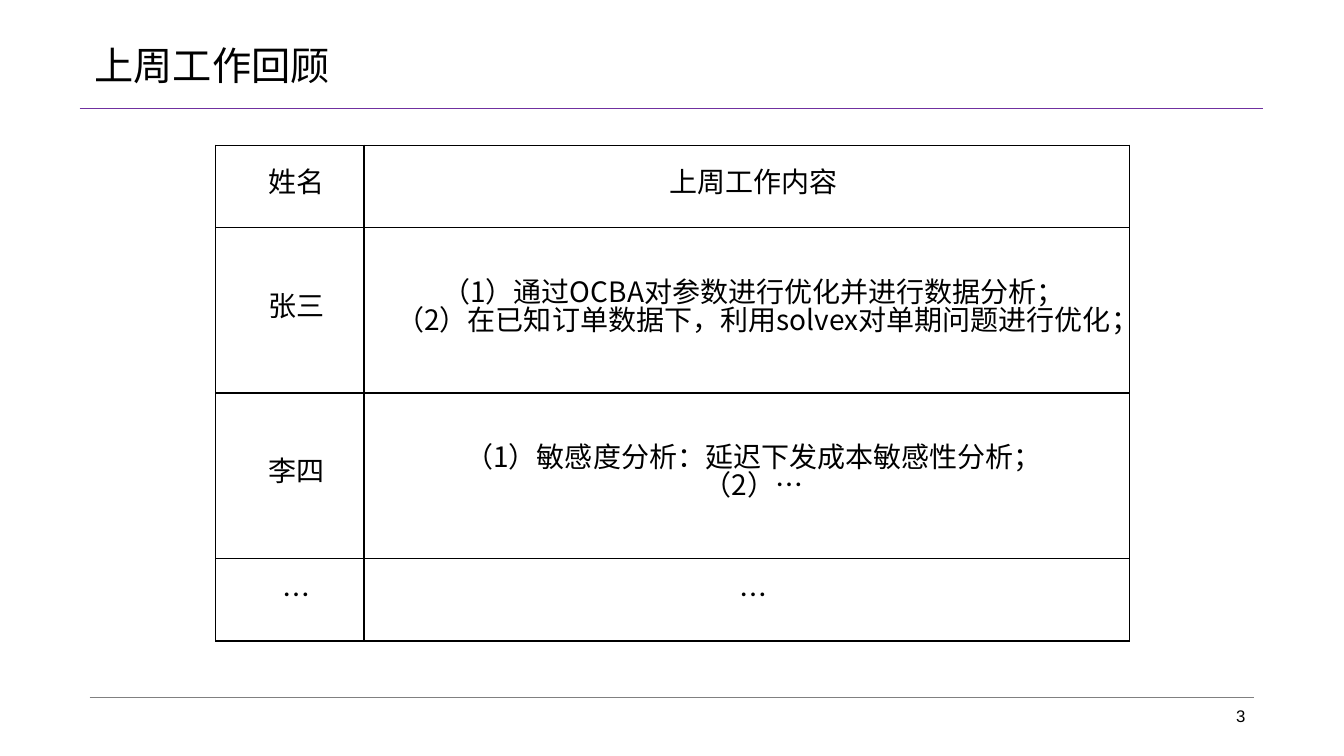
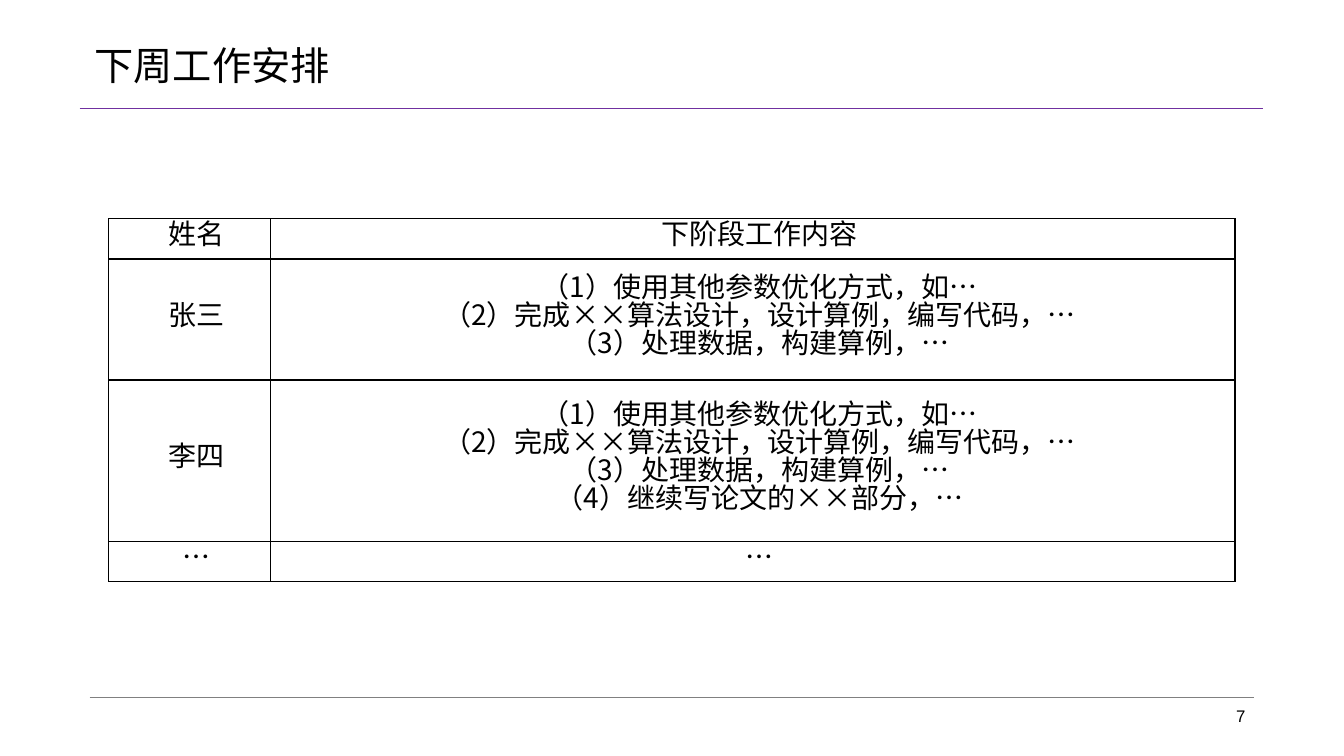
from collections import namedtuple
from dataclasses import dataclass

from lxml import etree
from pptx import Presentation
from pptx import util as u
from pptx.dml import color
from pptx.enum import lang, shapes, text
from pptx.oxml import ns

Box = namedtuple("Box", "left top width height")


@dataclass(frozen=True)
class Theme:
    """Colours, type and line weights shared by the pages."""
    ink: str = "000000"
    accent: str = "7030A0"
    footer: str = "808080"
    latin: str = "Arial"
    chinese: str = "Noto Sans CJK SC"
    title_size: int = 28
    cell_size: int = 20
    number_size: int = 12
    rule_width: float = 0.25
    border_width: int = 1


THEME = Theme()
PAGE = Box(0, 0, 1333, 750)

PAGES = [
    {
        "title": "上周工作回顾",
        "number": "3",
        "box": Box(214, 144, 906, 492),
        "name_width": 147,
        "row_shares": [1, 2, 2, 1],
        "rows": [
            ("姓名", ["上周工作内容"]),
            ("张三", ["（1）通过OCBA对参数进行优化并进行数据分析；",
                    "（2）在已知订单数据下，利用solvex对单期问题进行优化；"]),
            ("李四", ["（1）敏感度分析：延迟下发成本敏感性分析；", "（2）…"]),
            ("…", ["…"]),
        ],
    },
    {
        "title": "下周工作安排",
        "number": "7",
        "box": Box(108, 217, 1117, 360),
        "name_width": 160,
        "row_shares": [1, 3, 4, 1],
        "rows": [
            ("姓名", ["下阶段工作内容"]),
            ("张三", ["（1）使用其他参数优化方式，如…",
                    "（2）完成××算法设计，设计算例，编写代码，…",
                    "（3）处理数据，构建算例，…"]),
            ("李四", ["（1）使用其他参数优化方式，如…",
                    "（2）完成××算法设计，设计算例，编写代码，…",
                    "（3）处理数据，构建算例，…",
                    "（4）继续写论文的××部分，…"]),
            ("…", ["…"]),
        ],
    },
]


def px(length):
    """Turn px into EMU at 100 px to the inch."""
    return u.Emu(round(length * 9144))


def apply(target, formats):
    """Set every attribute named in the formats."""
    for name, value in formats.items():
        setattr(target, name, value)


def write(para, words, font, size):
    """Write one styled span into a paragraph."""
    span = para.add_run()
    span.text = words
    apply(span.font, {"name": font, "size": u.Pt(size),
                      "language_id": lang.MSO_LANGUAGE_ID.SIMPLIFIED_CHINESE})
    span.font.color.rgb = color.RGBColor.from_string(THEME.ink)
    east = etree.SubElement(span.font._element, ns.qn("a:ea"))
    east.set("typeface", THEME.chinese)


def add_label(page, box, words, size, frame_formats, align):
    """Place one line of text in a box."""
    frame = page.shapes.add_textbox(*map(px, box)).text_frame
    apply(frame, {"word_wrap": True, **frame_formats})
    para = frame.paragraphs[0]
    para.alignment = align
    write(para, words, THEME.latin, size)


def add_rule(page, left, right, top, rgb):
    """Draw a thin horizontal rule."""
    rule = page.shapes.add_connector(
        shapes.MSO_CONNECTOR.STRAIGHT, px(left), px(top), px(right), px(top))
    rule.line.color.rgb = color.RGBColor.from_string(rgb)
    rule.line.width = u.Pt(THEME.rule_width)
    etree.SubElement(rule._element.spPr, ns.qn("a:effectLst"))


def add_title(page, box, words):
    """Place the title and the rule under it."""
    add_label(page, Box(box.left + 84, box.top + 21, box.width - 166, 87), words,
              THEME.title_size, {"vertical_anchor": text.MSO_ANCHOR.MIDDLE},
              text.PP_ALIGN.LEFT)
    add_rule(page, box.left + 79, box.left + box.width - 80, box.top + 107, THEME.accent)


def add_footer(page, box, number):
    """Place the footer rule and the page number."""
    right, bottom = box.left + box.width - 89, box.top + box.height
    add_rule(page, box.left + 89, right, bottom - 58, THEME.footer)
    add_label(page, Box(right - 288, bottom - 50, 289, 29), number,
              THEME.number_size, {"margin_top": 0, "margin_bottom": 0},
              text.PP_ALIGN.RIGHT)


def add_borders(cell):
    """Draw a solid line on each side of a cell."""
    props = cell._tc.get_or_add_tcPr()
    for place, side in enumerate("LRTB"):
        line = etree.Element(ns.qn(f"a:ln{side}"), w=str(u.Pt(THEME.border_width)))
        fill = etree.SubElement(line, ns.qn("a:solidFill"))
        etree.SubElement(fill, ns.qn("a:srgbClr"), val=THEME.ink)
        props.insert(place, line)


def fill_cell(cell, lines):
    """Write centred lines into a bordered cell."""
    apply(cell, {"margin_left": px(7), "margin_right": px(7), "margin_top": 0,
                 "margin_bottom": 0, "vertical_anchor": text.MSO_ANCHOR.MIDDLE})
    cell.fill.background()
    add_borders(cell)
    frame = cell.text_frame
    for index, words in enumerate(lines):
        para = frame.add_paragraph() if index else frame.paragraphs[0]
        apply(para, {"alignment": text.PP_ALIGN.CENTER,
                     "line_spacing": u.Pt(THEME.cell_size)})
        props = para._p.get_or_add_pPr()
        props.set("marL", "0")
        props.set("indent", str(px(14)))
        write(para, words, THEME.chinese, THEME.cell_size)


def add_task_table(page, box, name_width, row_shares, rows):
    """Place a table of names and their tasks."""
    table = page.shapes.add_table(len(rows), 2, *map(px, box)).table
    apply(table, {"first_row": False, "horz_banding": False})
    for column, width in zip(table.columns, (name_width, box.width - name_width)):
        column.width = px(width)
    for row, share, (name, tasks) in zip(table.rows, row_shares, rows):
        row.height = px(box.height * share / sum(row_shares))
        for cell, lines in zip(row.cells, ([name], tasks)):
            fill_cell(cell, lines)


def add_task_page(deck, title, number, **table):
    """Add a page with a title, a footer and a task table."""
    page = deck.slides.add_slide(deck.slide_layouts[6])
    add_footer(page, PAGE, number)
    add_title(page, PAGE, title)
    add_task_table(page, **table)


def main():
    """Build and save the deck."""
    deck = Presentation()
    apply(deck, {"slide_width": px(PAGE.width), "slide_height": px(PAGE.height)})
    for content in PAGES:
        add_task_page(deck, **content)
    deck.save("out.pptx")


if __name__ == "__main__":
    main()
